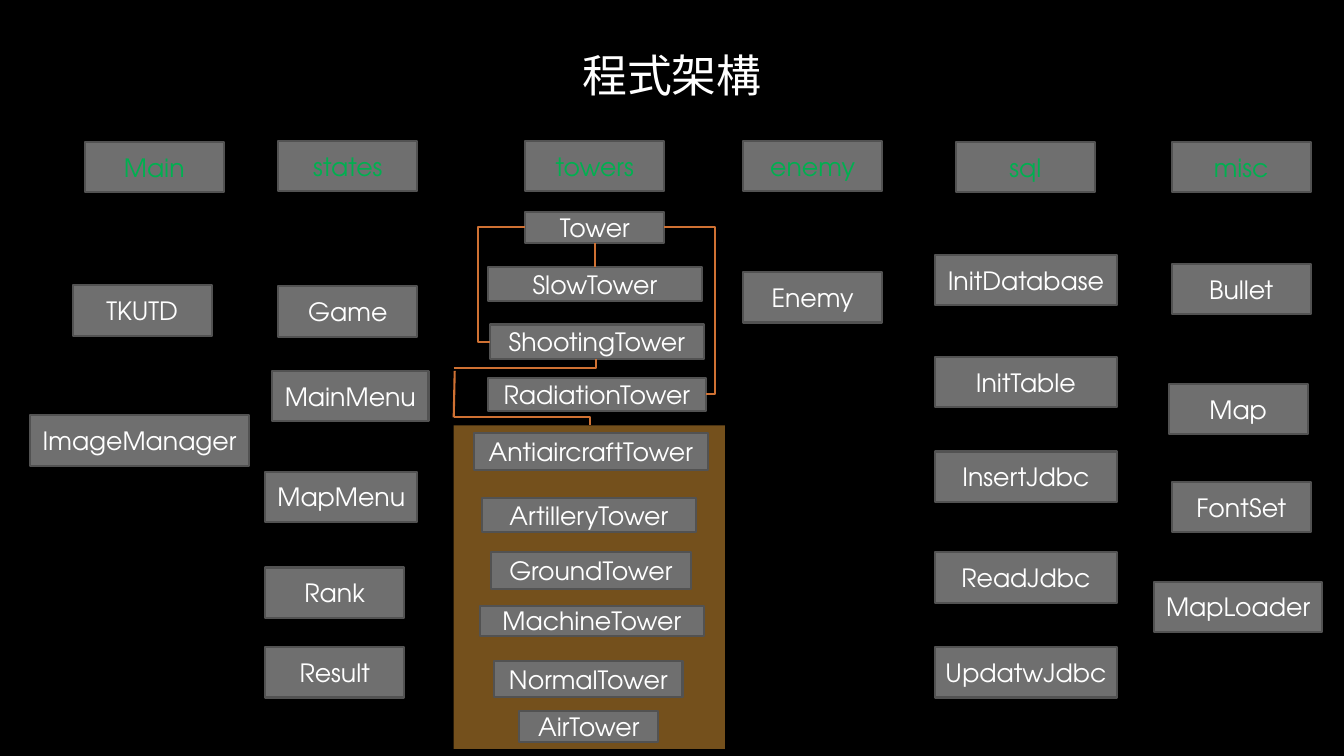
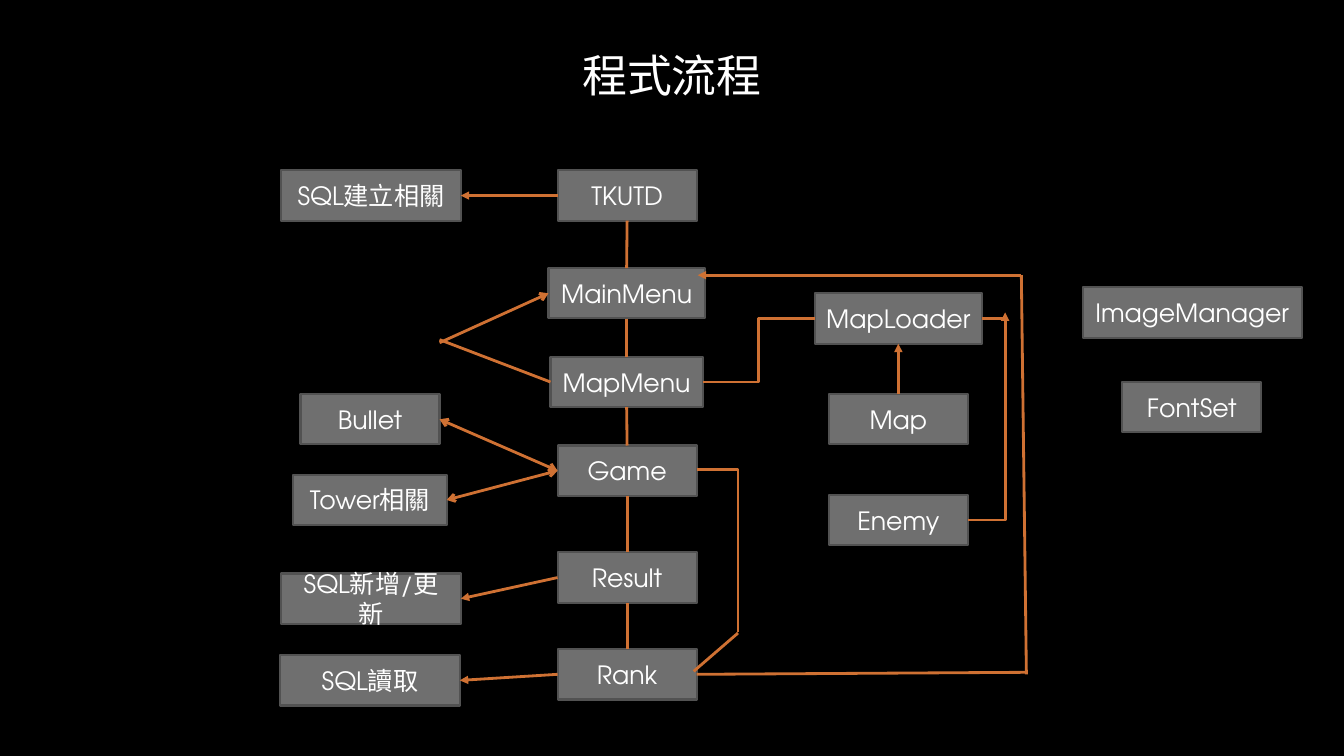
from dataclasses import dataclass

from lxml.etree import SubElement
from pptx import Presentation
from pptx.dml.color import RGBColor
from pptx.enum.shapes import MSO_CONNECTOR, MSO_SHAPE
from pptx.enum.text import MSO_ANCHOR, PP_ALIGN
from pptx.oxml.ns import qn
from pptx.util import Inches, Pt


@dataclass(frozen=True)
class Theme:
    background: str = "000000"
    box_fill: str = "6F6F6F"
    box_line: str = "525252"
    text: str = "FFFFFF"
    title_end: str = "A6A6A6"
    heading: str = "00B050"
    connector: str = "CF7133"
    panel: str = "E9A039"
    font: str = "TeX Gyre Adventor"
    title_size: int = 32
    box_size: int = 18
    box_width: float = 1.38
    box_height: float = 0.5


THEME = Theme()
TOP, LEFT, BOTTOM, RIGHT = range(4)


def color(value):
    return RGBColor.from_string(value)


@dataclass
class Region:
    """An area of a slide; its parts are placed from its top left corner."""
    slide: object
    left: float = 0
    top: float = 0
    line_width: float = 1.5

    def rectangle(self, x, y, width, height):
        shape = self.slide.shapes.add_shape(
            MSO_SHAPE.RECTANGLE, Inches(self.left + x), Inches(self.top + y),
            Inches(width), Inches(height))
        shape.shadow.inherit = False
        shape.fill.solid()
        return shape

    def panel(self, width, height):
        shape = self.rectangle(0, 0, width, height)
        shape.fill.fore_color.rgb = color(THEME.panel)
        shape.line.fill.background()
        fill = shape._element.spPr.find(qn("a:solidFill"))
        SubElement(fill[0], qn("a:alpha"), val="50000")

    def box(self, text, x, y, width=THEME.box_width, height=THEME.box_height,
            text_color=THEME.text):
        shape = self.rectangle(x, y, width, height)
        shape.fill.fore_color.rgb = color(THEME.box_fill)
        shape.line.color.rgb = color(THEME.box_line)
        shape.line.width = Pt(1.5)
        text_frame = shape.text_frame
        text_frame.text = text
        text_frame.word_wrap = True
        text_frame.vertical_anchor = MSO_ANCHOR.MIDDLE
        paragraph = text_frame.paragraphs[0]
        paragraph.alignment = PP_ALIGN.CENTER
        font = paragraph.runs[0].font
        font.name = THEME.font
        font.size = Pt(THEME.box_size)
        font.color.rgb = color(text_color)
        return shape

    def boxes(self, entries):
        return {entry[0]: self.box(*entry) for entry in entries}

    def connector(self, kind, start, end, head=None, tail=None):
        connector = self.slide.shapes.add_connector(
            kind, Inches(self.left + start[0]), Inches(self.top + start[1]),
            Inches(self.left + end[0]), Inches(self.top + end[1]))
        connector.line.color.rgb = color(THEME.connector)
        connector.line.width = Pt(self.line_width)
        line = connector.line._get_or_add_ln()
        for tag, arrow in (("a:headEnd", head), ("a:tailEnd", tail)):
            if arrow:
                SubElement(line, qn(tag), type=arrow)
        SubElement(connector._element.spPr, qn("a:effectLst"))
        return connector

    def line(self, start, end, head=None, tail=None):
        """Each end is a point (x, y) or a joint (shape, side)."""
        joints = [None if isinstance(place[0], (int, float)) else place
                  for place in (start, end)]
        points = [(0, 0) if joint else place
                  for joint, place in zip(joints, (start, end))]
        connector = self.connector(MSO_CONNECTOR.STRAIGHT, *points, head, tail)
        if joints[0]:
            connector.begin_connect(*joints[0])
        if joints[1]:
            connector.end_connect(*joints[1])

    def elbow(self, start, end, bend=0.5):
        """Horizontal, vertical, horizontal; bend is a share of the width."""
        connector = self.connector(MSO_CONNECTOR.ELBOW, start, end)
        adjustments = connector._element.spPr.prstGeom.get_or_add_avLst()
        SubElement(adjustments, qn("a:gd"), name="adj1",
                   fmla=f"val {round(bend * 100000)}")

    def corner(self, start, end, tail=None):
        """Horizontal, then vertical."""
        connector = self.connector(MSO_CONNECTOR.ELBOW, start, end, tail=tail)
        connector._element.spPr.prstGeom.set("prst", "bentConnector2")


def add_titled_slide(presentation, title_text):
    slide = presentation.slides.add_slide(presentation.slide_layouts[5])
    title = slide.shapes.title
    title.left, title.top = Inches(1.25), Inches(0.15)
    title.width, title.height = Inches(10.83), Inches(1.18)
    title.text_frame.text = title_text
    title.text_frame.vertical_anchor = MSO_ANCHOR.MIDDLE
    paragraph = title.text_frame.paragraphs[0]
    paragraph.alignment = PP_ALIGN.CENTER
    font = paragraph.runs[0].font
    font.name = THEME.font
    font.size = Pt(THEME.title_size)
    font.fill.gradient()
    font.fill.gradient_angle = 267
    for stop, value in zip(font.fill.gradient_stops, (THEME.text, THEME.title_end)):
        stop.color.rgb = color(value)
    return slide


# Packages: heading, left, top, then classes placed from the heading's corner
PACKAGES = [
    ("Main", 0.84, 1.41, [
        ("TKUTD", -0.12, 1.42), ("ImageManager", -0.54, 2.71, 2.17)]),
    ("states", 2.76, 1.4, [
        ("Game", 0, 1.44), ("MainMenu", -0.06, 2.28, 1.55),
        ("MapMenu", -0.13, 3.28, 1.51), ("Rank", -0.13, 4.23),
        ("Result", -0.13, 5.02)]),
    ("enemy", 7.37, 1.4, [("Enemy", 0, 1.3)]),
    ("sql", 9.48, 1.41, [
        (name, -0.21, y, 1.81) for name, y in (
            ("InitDatabase", 1.12), ("InitTable", 2.13), ("InsertJdbc", 3.07),
            ("ReadJdbc", 4.07), ("UpdatwJdbc", 5.01))]),
    ("misc", 11.62, 1.41, [
        ("Bullet", 0, 1.21), ("Map", -0.03, 2.4), ("FontSet", 0, 3.37),
        ("MapLoader", -0.17, 4.36, 1.66)]),
]
TOWERS = [
    ("Tower", 0, 0.7, 1.38, 0.31), ("SlowTower", -0.37, 1.25, 2.12, 0.34),
    ("ShootingTower", -0.35, 1.82, 2.12, 0.34),
    ("RadiationTower", -0.37, 2.35, 2.16, 0.33),
]
SHOOTING_TOWERS = [
    ("AntiaircraftTower", 0.2, 0.08, 2.32, 0.36),
    ("ArtilleryTower", 0.28, 0.72, 2.12, 0.34),
    ("GroundTower", 0.37, 1.26, 1.98, 0.36),
    ("MachineTower", 0.26, 1.79, 2.22, 0.3),
    ("NormalTower", 0.4, 2.34, 1.87, 0.36),
    ("AirTower", 0.65, 2.83, 1.38, 0.31),
]


def add_package(slide, heading, left, top, classes):
    region = Region(slide, left, top)
    region.box(heading, 0, 0, text_color=THEME.heading)
    return region, region.boxes(classes)


def add_shooting_panel(slide, left, top):
    region = Region(slide, left, top)
    region.panel(2.69, 3.21)
    region.boxes(SHOOTING_TOWERS)


def add_towers(slide, left, top):
    add_shooting_panel(slide, left - 0.71, top + 2.82)
    region, towers = add_package(slide, "towers", left, top, TOWERS)
    # Inheritance from Tower
    region.line((towers["Tower"], BOTTOM), (towers["SlowTower"], TOP))
    region.elbow((0, 0.85), (-0.35, 1.99), 1.33)
    region.elbow((1.38, 0.85), (1.79, 2.51), 1.23)
    # From ShootingTower round to its panel
    region.corner((-0.71, 2.25), (0.7, 2.16))
    region.line((-0.7, 2.28), (-0.71, 2.74))
    region.corner((-0.71, 2.74), (0.64, 2.82))


def build_structure(presentation):
    slide = add_titled_slide(presentation, "程式架構")
    add_towers(slide, 5.21, 1.4)
    for package in PACKAGES:
        add_package(slide, *package)


# Flow groups: left, top, then boxes placed from that corner
FLOW_GROUPS = [
    (5.44, 1.69, [
        ("TKUTD", 0.09, 0), ("MainMenu", 0, 0.97, 1.55),
        ("MapMenu", 0.02, 1.85, 1.51), ("Game", 0.09, 2.73),
        ("Result", 0.09, 3.79), ("Rank", 0.09, 4.75)]),
    (2.78, 1.69, [
        ("SQL建立相關", 0.01, 0, 1.78), ("Bullet", 0.2, 2.22),
        ("Tower相關", 0.13, 3.02, 1.52), ("SQL新增/更新", 0.01, 4, 1.78),
        ("SQL讀取", 0, 4.81, 1.78)]),
    (8.08, 2.91, [
        ("MapLoader", 0, 0, 1.66), ("Map", 0.14, 1), ("Enemy", 0.14, 2)]),
    (10.74, 2.85, [("ImageManager", 0, 0, 2.17), ("FontSet", 0.39, 0.94)]),
]


def add_flow_links(region, boxes):
    # Main sequence
    sequence = ["TKUTD", "MainMenu", "MapMenu", "Game", "Result", "Rank"]
    for upper, lower in zip(sequence, sequence[1:]):
        region.line((boxes[upper], BOTTOM), (boxes[lower], TOP))
    # Database calls
    for state, call in (("TKUTD", "SQL建立相關"), ("Result", "SQL新增/更新"),
                        ("Rank", "SQL讀取")):
        region.line((boxes[state], LEFT), (boxes[call], RIGHT), tail="triangle")
    # Game parts, both ways
    for part in ("Bullet", "Tower相關"):
        region.line((boxes[part], RIGHT), (boxes["Game"], LEFT), "arrow", "arrow")
    # Map loading
    region.elbow((6.97, 3.79), (8.08, 3.16))
    region.line((boxes["Map"], TOP), (boxes["MapLoader"], BOTTOM), tail="triangle")
    region.corner((9.6, 5.16), (9.97, 3.1), tail="triangle")
    region.line((9.97, 3.16), (boxes["MapLoader"], RIGHT))
    # Rank back to MainMenu
    region.line((boxes["Rank"], RIGHT), (10.18, 6.67))
    region.line((10.18, 6.69), (10.13, 2.73))
    region.line((10.13, 2.73), (6.92, 2.73), tail="triangle")
    # Game to Rank
    region.corner((6.91, 4.66), (7.32, 6.27))
    region.line((7.32, 6.28), (6.88, 6.66))
    # MapMenu back to MainMenu
    region.line((boxes["MapMenu"], LEFT), (4.36, 3.37))
    region.line((4.36, 3.4), (boxes["MainMenu"], LEFT), tail="arrow")


def build_flow(presentation):
    slide = add_titled_slide(presentation, "程式流程")
    boxes = {}
    for left, top, entries in FLOW_GROUPS:
        boxes.update(Region(slide, left, top).boxes(entries))
    add_flow_links(Region(slide, line_width=2), boxes)


def main():
    presentation = Presentation()
    presentation.slide_width, presentation.slide_height = Inches(13.33), Inches(7.5)
    background = presentation.slide_master.background.fill
    background.solid()
    background.fore_color.rgb = color(THEME.background)
    build_structure(presentation)
    build_flow(presentation)
    presentation.save("out.pptx")


if __name__ == "__main__":
    main()
